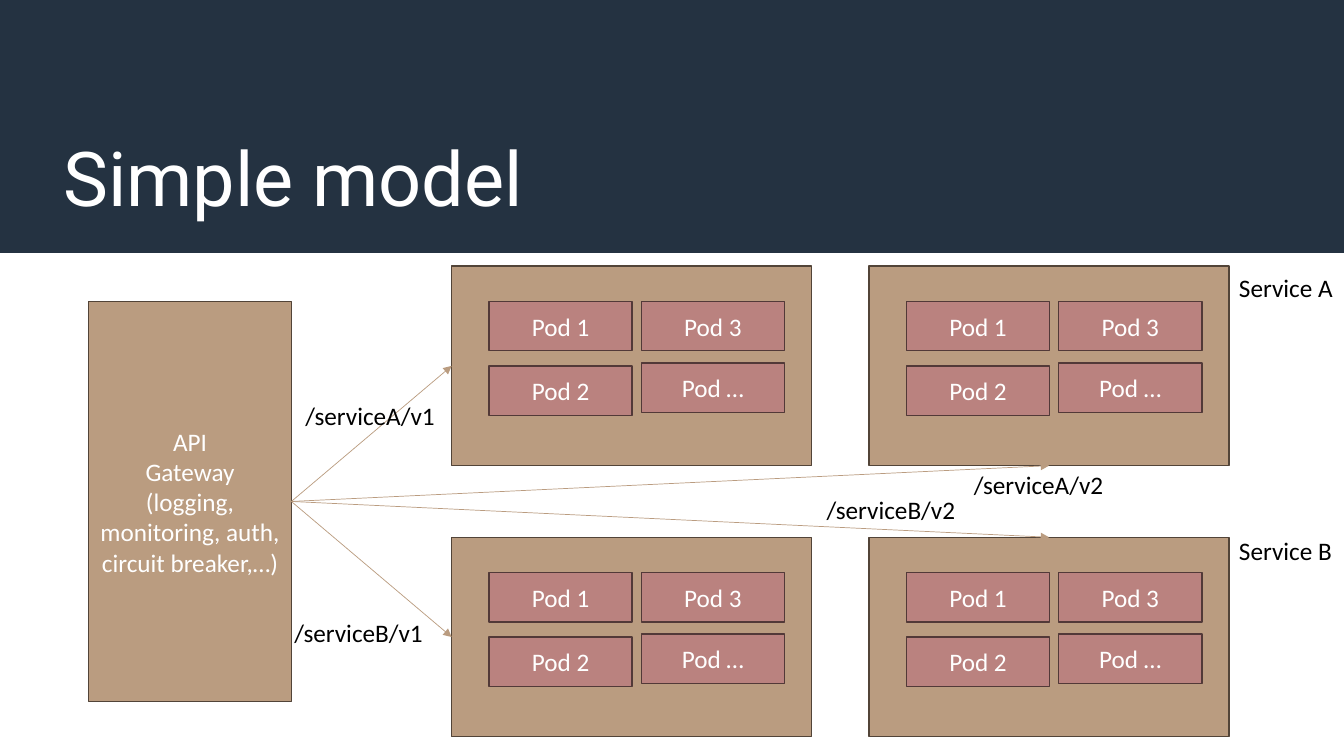
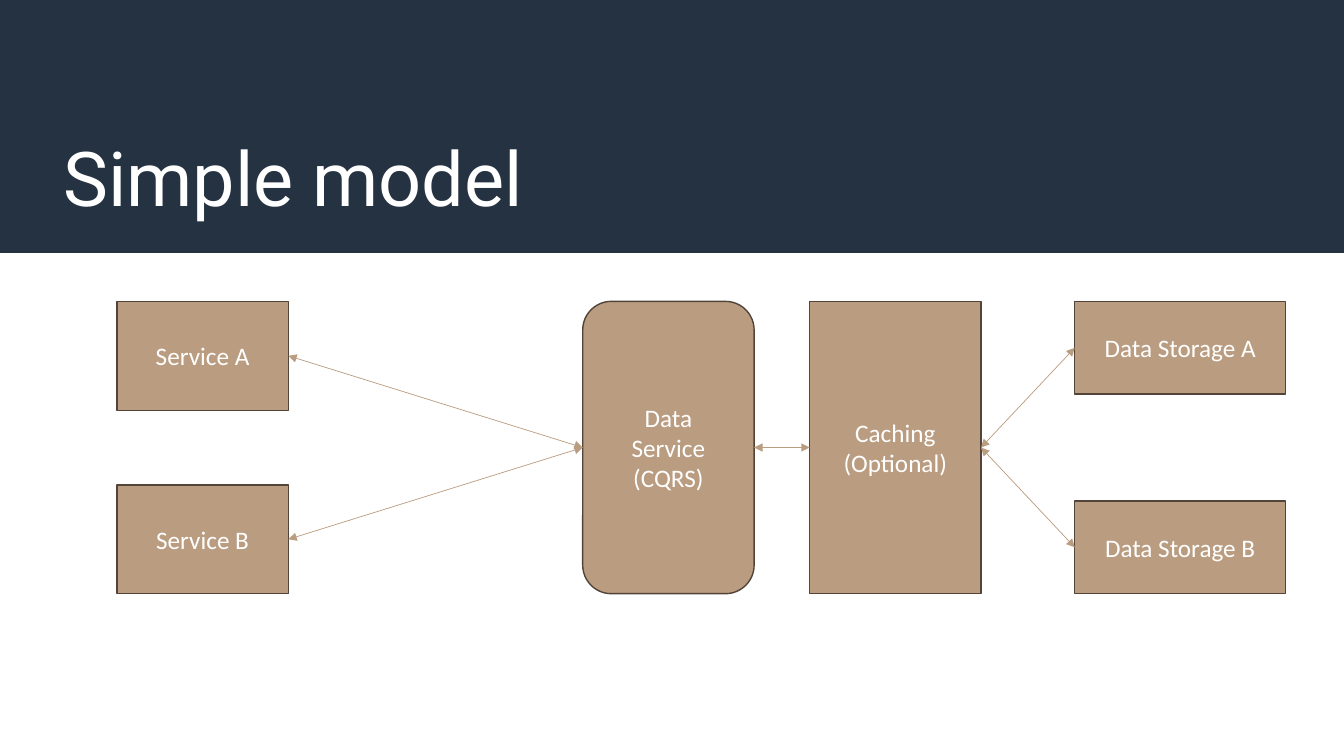
import pptx
import pptx.util
import pptx.dml.color
import pptx.enum.shapes
import pptx.enum.text
import pptx.oxml.ns
from lxml import etree

Inches, Pt = pptx.util.Inches, pptx.util.Pt
KIND = pptx.enum.shapes.MSO_SHAPE
ALIGN = pptx.enum.text.PP_ALIGN
ANCHOR = pptx.enum.text.MSO_ANCHOR
TOP, LEFT, BOTTOM, RIGHT = range(4)

WIDE, HIGH = 13.33, 7.5
COLORS = {
    "navy": "243241", "white": "FFFFFF", "black": "000000",
    "tan": "BA9C80", "brown": "524438", "rose": "BA827F", "plum": "523938",
}
TITLE = "Simple model"

# Slide 1: gateway, service versions and their pods
GATE = ["API", "Gateway", "(logging, monitoring, auth, circuit breaker,…)"]
GATE_AT = (0.88, 2.99, 2.01, 3.97)
COLS, ROWS = (4.48, 8.62), (2.64, 5.33)
NODE = (3.57, 1.98)
POD = (1.42, 0.49)
PODS = [  # text, offset inside the node
    ("Pod 1", 0.37, 0.35), ("Pod 2", 0.37, 0.99),
    ("Pod 3", 1.88, 0.35), ("Pod …", 1.88, 0.96),
]
ROUTES = [  # column, row, side of the node
    (0, 0, LEFT), (1, 0, BOTTOM), (0, 1, LEFT), (1, 1, TOP),
]
LABELS = [
    ("Service A", 12.19, 2.65, 1.37), ("Service B", 12.19, 5.26, 1.37),
    ("/serviceA/v1", 2.93, 3.92, 1.88), ("/serviceA/v2", 9.56, 4.61, 1.88),
    ("/serviceB/v1", 2.82, 6.08, 1.88), ("/serviceB/v2", 8.1, 4.86, 1.88),
]

# Slide 2: data flow
PARTS = {
    "a": (["Service A"], (1.16, 2.99, 1.7, 1.08), KIND.RECTANGLE),
    "b": (["Service B"], (1.16, 4.81, 1.7, 1.08), KIND.RECTANGLE),
    "data": (["Data", "Service", "(CQRS)"], (5.78, 2.99, 1.7, 2.9),
             KIND.ROUNDED_RECTANGLE),
    "cache": (["Caching", "(Optional)"], (8.03, 2.99, 1.7, 2.9),
              KIND.RECTANGLE),
    "store a": (["Data Storage A"], (10.66, 2.99, 2.09, 0.92), KIND.RECTANGLE),
    "store b": (["Data Storage B"], (10.66, 4.97, 2.09, 0.92), KIND.RECTANGLE),
}
FLOWS = [("a", "data"), ("b", "data"), ("data", "cache"),
         ("cache", "store a"), ("cache", "store b")]


def rgb(name):
    return pptx.dml.color.RGBColor.from_string(COLORS[name])


def write(shape, lines, size=18, font="Calibri", color="white",
          align=ALIGN.CENTER, anchor=ANCHOR.MIDDLE):
    frame = shape.text_frame
    frame.word_wrap = True
    frame.vertical_anchor = anchor
    frame.text = "\n".join(lines)
    for para in frame.paragraphs:
        para.alignment = align
        para.font.size, para.font.name = Pt(size), font
        para.font.color.rgb = rgb(color)


def box(shapes, at, lines=(), fill="tan", line="brown", kind=KIND.RECTANGLE):
    shape = shapes.add_shape(kind, *map(Inches, at))
    shape.shadow.inherit = False
    shape.fill.solid()
    shape.fill.fore_color.rgb = rgb(fill)
    if line:
        shape.line.color.rgb = rgb(line)
        shape.line.width = Pt(1)
    else:
        shape.line.fill.background()
    if lines:
        write(shape, lines)
    return shape


def label(shapes, at, text, **style):
    write(shapes.add_textbox(*map(Inches, at)), [text], align=ALIGN.LEFT,
          **style)


def arrow(shapes, start, end, side=LEFT, both=False):
    line = shapes.add_connector(
        pptx.enum.shapes.MSO_CONNECTOR.STRAIGHT, 0, 0, 0, 0)
    line.begin_connect(start, RIGHT)
    line.end_connect(end, side)
    line.line.color.rgb = rgb("tan")
    line.line.width = Pt(0.5)
    qn = pptx.oxml.ns.qn
    stroke = line.line._get_or_add_ln()
    for tag in ("a:headEnd", "a:tailEnd") if both else ("a:tailEnd",):
        etree.SubElement(stroke, qn(tag)).set("type", "triangle")
    etree.SubElement(line._element.spPr, qn("a:effectLst"))


def page(deck):
    shapes = deck.slides.add_slide(deck.slide_layouts[6]).shapes
    box(shapes, (0, 0, WIDE, 2.51), fill="navy", line=None)
    label(shapes, (0.53, 0.4, 11.89, 1.85), TITLE, size=54, font="Roboto",
          anchor=ANCHOR.BOTTOM)
    return shapes


def node(shapes, left, top):
    group = shapes.add_group_shape().shapes
    frame = box(group, (left, top, *NODE))
    for text, dx, dy in PODS:
        box(group, (left + dx, top + dy, *POD), [text], "rose", "plum")
    return frame


def routing(deck):
    shapes = page(deck)
    gate = box(shapes, GATE_AT, GATE)
    for col, row, side in ROUTES:
        arrow(shapes, gate, node(shapes, COLS[col], ROWS[row]), side)
    for text, left, top, width in LABELS:
        label(shapes, (left, top, width, 0.4), text, color="black",
              anchor=ANCHOR.TOP)


def storage(deck):
    shapes = page(deck)
    parts = {key: box(shapes, at, lines, kind=kind)
             for key, (lines, at, kind) in PARTS.items()}
    for start, end in FLOWS:
        arrow(shapes, parts[start], parts[end], both=True)


def main():
    deck = pptx.Presentation()
    deck.slide_width, deck.slide_height = Inches(WIDE), Inches(HIGH)
    routing(deck)
    storage(deck)
    deck.save("out.pptx")


if __name__ == "__main__":
    main()
